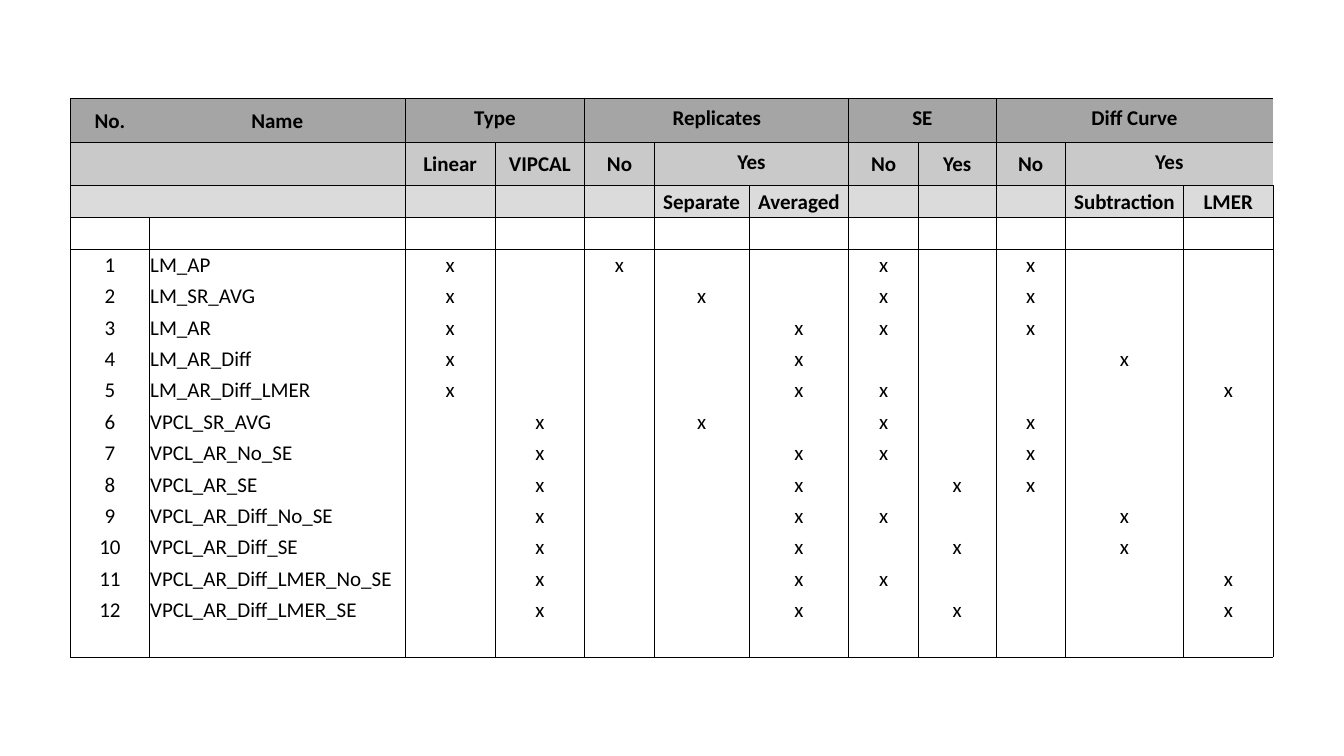
from lxml import etree
from pptx import Presentation
from pptx.dml.color import RGBColor
from pptx.enum.text import MSO_ANCHOR, PP_ALIGN
from pptx.oxml.ns import qn
from pptx.util import Inches, Pt

LEFT, CENTER = PP_ALIGN.LEFT, PP_ALIGN.CENTER
TOP, MIDDLE = MSO_ANCHOR.TOP, MSO_ANCHOR.MIDDLE
PLAIN = "{2D5ABB26-0587-4C30-8999-92F81FD0307C}"
COLORS = {"ink": "000000", "dark": "A5A5A5", "mid": "C9C9C9", "light": "DBDBDB"}
SHADES = ["dark", "mid", "light"]
WIDTHS = [0.78, 2.54, 0.89, 0.89, 0.69, 0.94, 0.99, 0.69, 0.77, 0.69, 1.17, 0.89]
HEADS = [0.43, 0.43, 0.32]
BODY = 4.36
SIZE = 15

TITLES = [
    {0: "No.", 1: "Name", 2: "Type", 4: "Replicates", 7: "SE", 9: "Diff Curve"},
    {2: "Linear", 3: "VIPCAL", 4: "No", 5: "Yes", 7: "No", 8: "Yes", 9: "No", 10: "Yes"},
    {5: "Separate", 6: "Averaged", 10: "Subtraction", 11: "LMER"},
]
SPANS = {(0, 2): 2, (0, 4): 3, (0, 7): 2, (0, 9): 3, (1, 5): 2, (1, 10): 2}
MODELS = [
    ("LM_AP", "x.x..x.x.."),
    ("LM_SR_AVG", "x..x.x.x.."),
    ("LM_AR", "x...xx.x.."),
    ("LM_AR_Diff", "x...x...x."),
    ("LM_AR_Diff_LMER", "x...xx...x"),
    ("VPCL_SR_AVG", ".x.x.x.x.."),
    ("VPCL_AR_No_SE", ".x..xx.x.."),
    ("VPCL_AR_SE", ".x..x.xx.."),
    ("VPCL_AR_Diff_No_SE", ".x..xx..x."),
    ("VPCL_AR_Diff_SE", ".x..x.x.x."),
    ("VPCL_AR_Diff_LMER_No_SE", ".x..xx...x"),
    ("VPCL_AR_Diff_LMER_SE", ".x..x.x..x"),
]


def write(cell, text, align=CENTER, bold=False, wide=False):
    cell.margin_left = cell.margin_right = Inches(0.13 if wide else 0.01)
    cell.margin_top = Inches(0.07 if wide else 0.01)
    cell.margin_bottom = Inches(0.07 if wide else 0)
    cell.vertical_anchor = TOP if wide else MIDDLE
    para = cell.text_frame.paragraphs[0]
    para.alignment = align
    para.font.name = "Calibri"
    para.font.size = Pt(SIZE)
    para.font.bold = bold
    para.font.color.rgb = RGBColor.from_string(COLORS["ink"])
    if text:
        para.add_run().text = text
    else:
        para._p.get_or_add_endParaRPr().set("sz", str(SIZE * 100))


def edge(cell, sides):
    props = cell._tc.get_or_add_tcPr()
    for side in sides:
        line = etree.SubElement(props, qn(f"a:ln{side}"), w=str(Pt(0.5)))
        fill = etree.SubElement(line, qn("a:solidFill"))
        etree.SubElement(fill, qn("a:srgbClr"), val=COLORS["ink"])


def paint(cell, shade=None):
    if shade:
        cell.fill.solid()
        cell.fill.fore_color.rgb = RGBColor.from_string(COLORS[shade])
    else:
        cell.fill.background()


def add_grid(slide):
    count = len(HEADS) + len(MODELS) + 2
    frame = slide.shapes.add_table(
        count, len(WIDTHS), Inches(0.7), Inches(0.98),
        Inches(sum(WIDTHS)), Inches(sum(HEADS) + BODY))
    grid = frame.table
    grid.first_row = grid.horz_banding = False
    grid._tbl.tblPr.find(qn("a:tableStyleId")).text = PLAIN
    for col, width in zip(grid.columns, WIDTHS):
        col.width = Inches(width)
    pitch = BODY / (count - len(HEADS))
    heights = HEADS + [pitch] * (count - len(HEADS))
    for row, height in zip(grid.rows, heights):
        row.height = Inches(height)
    for (row, col), span in SPANS.items():
        grid.cell(row, col).merge(grid.cell(row, col + span - 1))
    return grid


def fill_head(grid):
    for row, (titles, shade) in enumerate(zip(TITLES, SHADES)):
        joins = {1}
        for (line, start), span in SPANS.items():
            if line == row:
                joins.update(range(start + 1, start + span))
        for col in range(len(WIDTHS)):
            cell = grid.cell(row, col)
            write(cell, titles.get(col, ""), bold=True, wide=(row, col) in SPANS)
            left = "" if col in joins else "L"
            right = "" if col + 1 in joins else "R"
            edge(cell, left + right + "TB")
            paint(cell, shade)


def fill_body(grid):
    blank = [""] * len(WIDTHS)
    models = [[str(num), name, *marks.replace(".", " ")]
              for num, (name, marks) in enumerate(MODELS, 1)]
    lines = [blank, *models, blank]
    for row, texts in enumerate(lines):
        top = "T" if row == 0 else ""
        base = "B" if row == len(lines) - 1 else ""
        for col, text in enumerate(texts):
            cell = grid.cell(row + len(HEADS), col)
            write(cell, text.strip(), LEFT if col == 1 else CENTER)
            edge(cell, "LR" + top + base)
            paint(cell)


def main():
    deck = Presentation()
    deck.slide_width, deck.slide_height = Inches(13.33), Inches(7.5)
    slide = deck.slides.add_slide(deck.slide_layouts[6])
    grid = add_grid(slide)
    fill_head(grid)
    fill_body(grid)
    deck.save("out.pptx")


if __name__ == "__main__":
    main()
